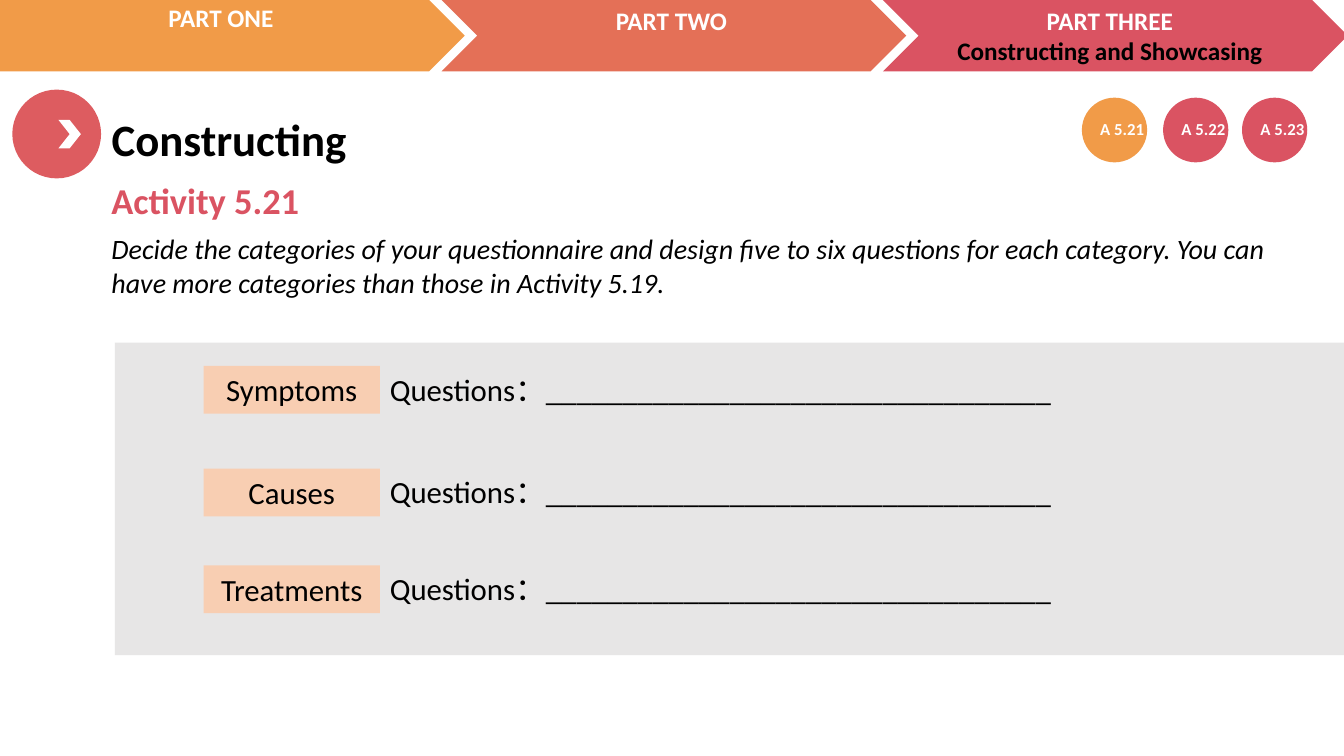
from pptx import Presentation
from pptx.dml.color import RGBColor
from pptx.enum import shapes, text
from pptx.util import Pt

ORANGE = RGBColor(0xF1, 0x9B, 0x48)
CORAL = RGBColor(0xE4, 0x70, 0x57)
ROSE = RGBColor(0xDA, 0x53, 0x62)
MARKER_RED = RGBColor(0xDD, 0x5C, 0x60)
PEACH = RGBColor(0xF8, 0xCE, 0xB2)
GREY = RGBColor(0xE7, 0xE6, 0xE6)
WHITE = RGBColor(0xFF, 0xFF, 0xFF)
BLACK = RGBColor(0, 0, 0)

deck = Presentation()
deck.slide_width, deck.slide_height = Pt(960), Pt(540)
slide = deck.slides.add_slide(deck.slide_layouts[5])  # Title Only


def add_block(kind, box, fill):
    block = slide.shapes.add_shape(kind, *map(Pt, box))
    block.shadow.inherit = False
    block.fill.solid()
    block.fill.fore_color.rgb = fill
    block.line.fill.background()
    return block


def write(holder, lines, size, colors, bold=False, italic=False, align=text.PP_ALIGN.LEFT):
    frame = holder.text_frame
    frame.word_wrap = True
    frame.auto_size = text.MSO_AUTO_SIZE.NONE
    frame.vertical_anchor = text.MSO_ANCHOR.TOP
    frame.text = "\n".join(lines)
    for paragraph, color in zip(frame.paragraphs, colors):
        paragraph.alignment = align
        paragraph.font.name = "Calibri"
        paragraph.font.size = Pt(size)
        paragraph.font.bold = bold
        paragraph.font.italic = italic
        paragraph.font.color.rgb = color


# Progress banner: chevron box, colour, label box, label lines
parts = [
    ((315.4, 0, 332, 51), CORAL, (315.4, 0, 328.3, 51), ["PART TWO"]),
    ((630.7, 0, 332, 51), ROSE, (628.6, 0, 328.3, 51),
     ["PART THREE", "Constructing and Showcasing"]),
    ((-44, 0, 376, 51), ORANGE, (-6.3, -2, 328.3, 29), ["PART ONE"]),
]
for arrow_box, color, label_box, lines in parts:
    add_block(shapes.MSO_SHAPE.CHEVRON, arrow_box, color)
    label = slide.shapes.add_textbox(*map(Pt, label_box))
    write(label, lines, 18, [WHITE, BLACK], bold=True, align=text.PP_ALIGN.CENTER)

# Section marker and heading
add_block(shapes.MSO_SHAPE.OVAL, (8.8, 64, 63.4, 63.4), MARKER_RED)
add_block(shapes.MSO_SHAPE.CHEVRON, (41.8, 85.7, 16, 20.2), WHITE)
heading = slide.shapes.title
heading.left, heading.top, heading.width, heading.height = map(Pt, (72.5, 76.4, 349, 46))
write(heading, ["Constructing"], 32, [BLACK], bold=True)

# Activity name and instructions
activity = slide.shapes.add_textbox(Pt(72.5), Pt(123.8), Pt(857.5), Pt(39))
write(activity, ["Activity 5.21"], 26, [ROSE], bold=True)
instructions = slide.shapes.add_textbox(Pt(72.5), Pt(162), Pt(850.3), Pt(55.5))
write(instructions, [
    "Decide the categories of your questionnaire and design five to six questions "
    "for each category. You can have more categories than those in Activity 5.19."
], 20, [BLACK], italic=True)

# Activity badges
for name, left, color in [("A 5.21", 772.8, ORANGE), ("A 5.22", 830.8, ROSE),
                          ("A 5.23", 887.2, ROSE)]:
    add_block(shapes.MSO_SHAPE.OVAL, (left, 69.8, 46.6, 46.2), color)
    badge = slide.shapes.add_textbox(Pt(left + 6), Pt(81), Pt(57), Pt(21.8))
    write(badge, [name], 12, [WHITE], bold=True)

# Questionnaire form
add_block(shapes.MSO_SHAPE.RECTANGLE, (82, 244.8, 973.4, 223.2), GREY)
for category, top in [("Symptoms", 261.4), ("Causes", 334.8), ("Treatments", 403.9)]:
    tag = add_block(shapes.MSO_SHAPE.RECTANGLE, (145.4, top, 126, 34), PEACH)
    write(tag, [category], 22, [BLACK], align=text.PP_ALIGN.CENTER)
    questions = slide.shapes.add_textbox(Pt(271.4), Pt(top - 0.5), Pt(536.4), Pt(34.5))
    write(questions, ["Questions：" + "_" * 33], 22, [BLACK])

deck.save("out.pptx")
